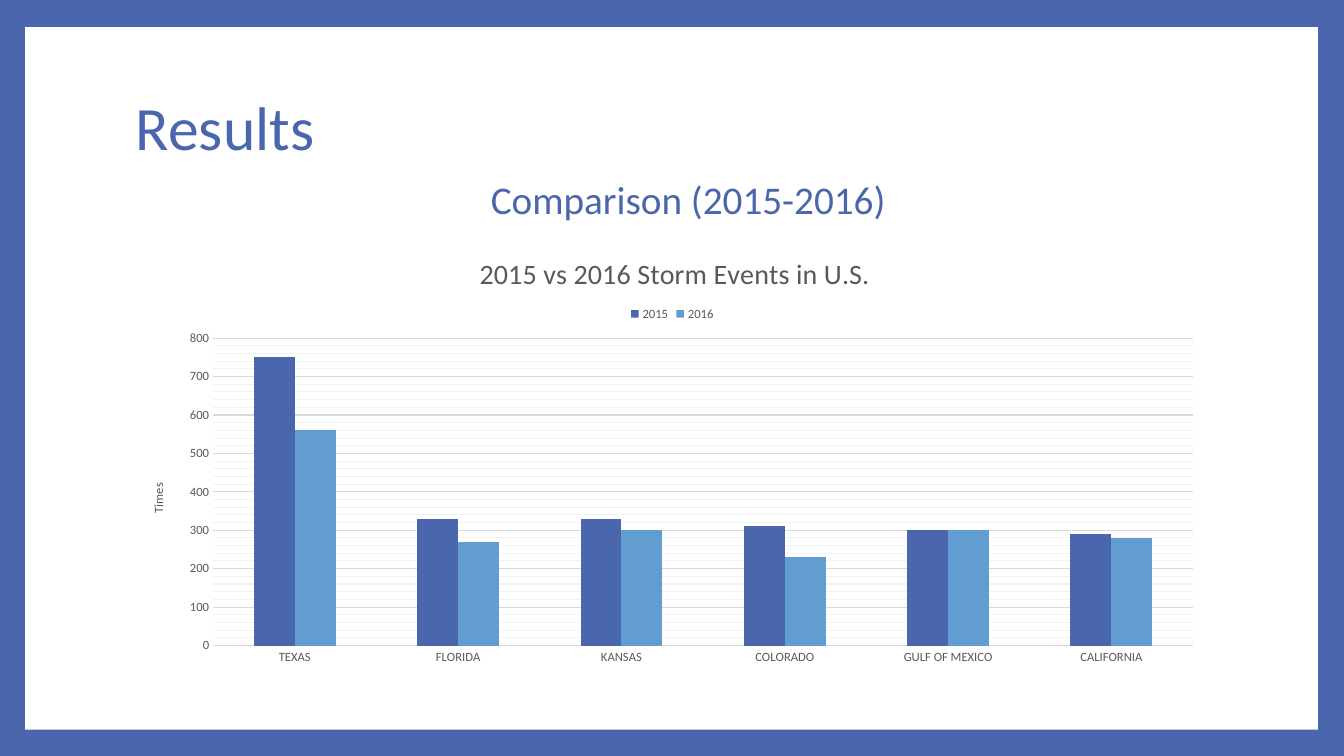
from lxml import etree
from pptx import Presentation
from pptx.chart.data import CategoryChartData
from pptx.dml.color import RGBColor
from pptx.dml.chtfmt import ChartFormat
from pptx.enum import chart as charts, shapes, text
from pptx.oxml.ns import qn
from pptx.util import Inches, Pt

BLUE, LIGHT_BLUE, GRAY, GRID, MINOR_GRID = "4A66AC", "629DD1", "595959", "D9D9D9", "F2F2F2"


def style_font(font, size, color):
    font.name, font.size, font.bold = "Calibri", Pt(size), False
    font.color.rgb = RGBColor.from_string(color)


def place(element, position, **fractions):
    """Give a chart part a manual layout, in fractions of the chart, as child number position."""
    for old in element.findall(qn("c:layout")):
        element.remove(old)
    layout = etree.Element(qn("c:layout"))
    manual = etree.SubElement(layout, qn("c:manualLayout"))
    if "w" in fractions:
        etree.SubElement(manual, qn("c:layoutTarget")).set("val", "inner")
    for axis in "xy":
        etree.SubElement(manual, qn(f"c:{axis}Mode")).set("val", "edge")
    for name, value in fractions.items():
        etree.SubElement(manual, qn(f"c:{name}")).set("val", str(value))
    element.insert(position, layout)


presentation = Presentation()
presentation.slide_width, presentation.slide_height = Inches(13.33), Inches(7.5)
slide = presentation.slides.add_slide(presentation.slide_layouts[6])
slide.background.fill.solid()
slide.background.fill.fore_color.rgb = RGBColor.from_string(BLUE)

panel = slide.shapes.add_shape(
    shapes.MSO_SHAPE.RECTANGLE, Inches(0.25), Inches(0.27), Inches(12.82), Inches(6.97))
panel.shadow.inherit = False
panel.fill.solid()
panel.fill.fore_color.rgb = RGBColor.from_string("FFFFFF")
panel.line.fill.background()

# Heading and indented subheading
heading = slide.shapes.add_textbox(Inches(1.25), Inches(0.67), Inches(10.8), Inches(1.83))
frame = heading.text_frame
frame.word_wrap = True
frame.vertical_anchor = text.MSO_ANCHOR.MIDDLE
title, subtitle = frame.paragraphs[0], frame.add_paragraph()
for paragraph, words, size in ((title, "Results", 44), (subtitle, "Comparison (2015-2016)", 28)):
    run = paragraph.add_run()
    run.text = words
    paragraph.line_spacing = 0.9
    style_font(run.font, size, BLUE)
subtitle.space_before = Pt(12)
subtitle._p.get_or_add_pPr().set("marL", str(Inches(3.52)))

# Storm chart
data = CategoryChartData()
data.categories = ["TEXAS", "FLORIDA", "KANSAS", "COLORADO", "GULF OF MEXICO", "CALIFORNIA"]
data.add_series("2015", (750, 330, 330, 310, 300, 290))
data.add_series("2016", (560, 270, 300, 230, 300, 280))
chart = slide.shapes.add_chart(
    charts.XL_CHART_TYPE.COLUMN_CLUSTERED,
    Inches(1.25), Inches(2.25), Inches(10.8), Inches(4.42), data).chart
style_font(chart.font, 10, "000000")

plot = chart.plots[0]
plot.gap_width, plot.overlap, plot.vary_by_categories = 199, 0, False
for series, color in zip(plot.series, (BLUE, LIGHT_BLUE)):
    series.format.fill.solid()
    series.format.fill.fore_color.rgb = RGBColor.from_string(color)

category_axis, value_axis = chart.category_axis, chart.value_axis
for axis in (category_axis, value_axis):
    axis.major_tick_mark = axis.minor_tick_mark = charts.XL_TICK_MARK.NONE
    style_font(axis.tick_labels.font, 9, GRAY)
value_axis.minimum_scale, value_axis.maximum_scale = 0, 800
value_axis.major_unit, value_axis.minor_unit = 100, 20
value_axis.has_minor_gridlines = True
value_axis.format.line.fill.background()
for line, color in (
    (category_axis.format.line, GRID),
    (value_axis.major_gridlines.format.line, GRID),
):
    line.width = Pt(0.75)
    line.color.rgb = RGBColor.from_string(color)

minor_gridlines = value_axis._element.find(qn("c:minorGridlines"))
minor_properties = etree.SubElement(minor_gridlines, qn("c:spPr"))
minor_line = etree.SubElement(minor_properties, qn("a:ln"), w=str(Pt(0.75)))
minor_fill = etree.SubElement(minor_line, qn("a:solidFill"))
etree.SubElement(minor_fill, qn("a:srgbClr"), val=MINOR_GRID)

chart.has_title = value_axis.has_title = True
for chart_title, words, size, x, y in (
    (chart.chart_title, "2015 vs 2016 Storm Events in U.S.", 20, 0.32, 0.05),
    (value_axis.axis_title, "Times", 9, 0.02, 0.57),
):
    paragraph = chart_title.text_frame.paragraphs[0]
    run = paragraph.add_run()
    run.text = words
    style_font(run.font, size, GRAY)
    place(chart_title._element, 1, x=x, y=y)

chart.has_legend = True
chart.legend.position = charts.XL_LEGEND_POSITION.TOP
chart.legend.include_in_layout = False
style_font(chart.legend.font, 9, GRAY)
place(chart.legend._element, 1, x=0.46, y=0.17)
place(chart._chartSpace.chart.plotArea, 0, x=0.08, y=0.25, w=0.9, h=0.69)

presentation.save("out.pptx")
